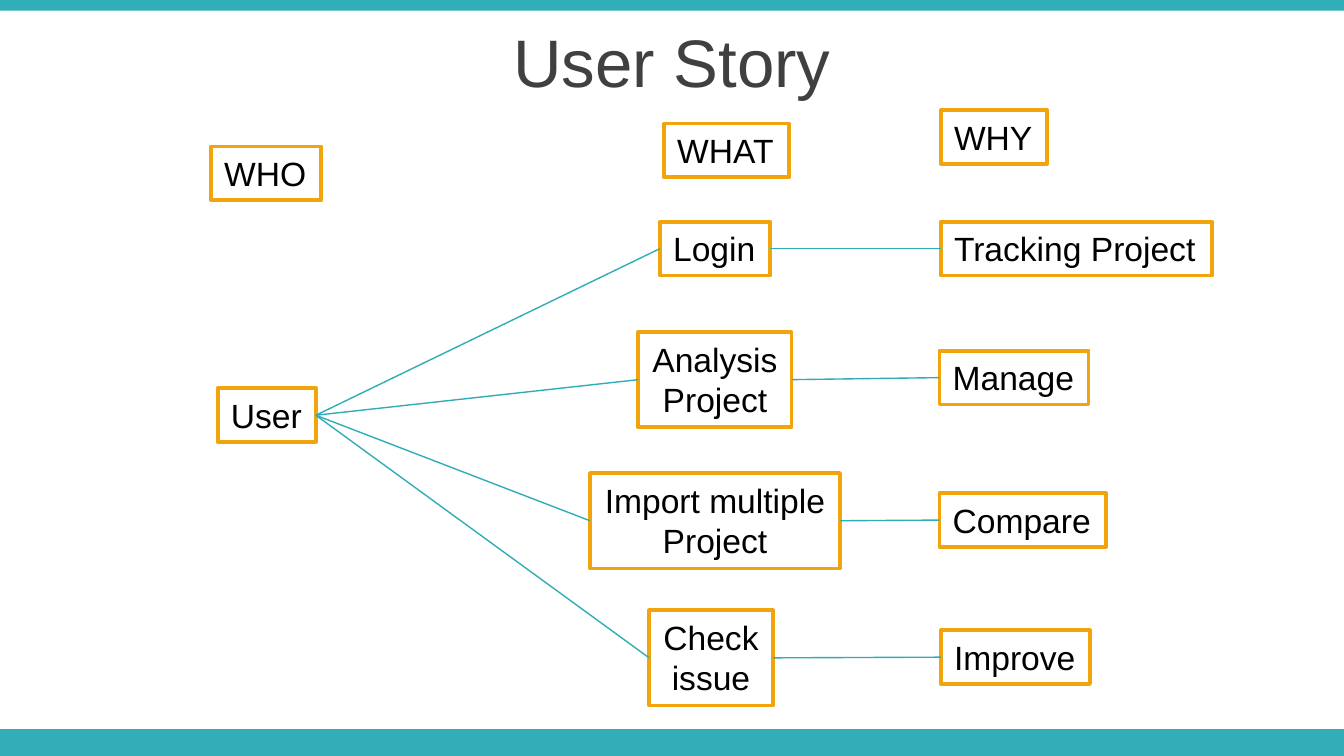
from lxml import etree
from pptx import Presentation
from pptx.dml.color import RGBColor
from pptx.enum.shapes import MSO_CONNECTOR, MSO_SHAPE
from pptx.enum.text import MSO_ANCHOR, MSO_AUTO_SIZE, PP_ALIGN
from pptx.oxml.ns import qn
from pptx.util import Inches, Pt

RECT = MSO_SHAPE.RECTANGLE
STRAIGHT = MSO_CONNECTOR.STRAIGHT
TOP, MIDDLE = MSO_ANCHOR.TOP, MSO_ANCHOR.MIDDLE
LEFT, CENTER = PP_ALIGN.LEFT, PP_ALIGN.CENTER
FIT_SHAPE = MSO_AUTO_SIZE.SHAPE_TO_FIT_TEXT

TEAL = RGBColor(0x32, 0xAE, 0xB8)
LINE_TEAL = RGBColor(0x2E, 0xAD, 0xB7)
ORANGE = RGBColor(0xF2, 0xA4, 0x0D)
WHITE = RGBColor(0xFF, 0xFF, 0xFF)
BLACK = RGBColor(0, 0, 0)
GREY = RGBColor(0x40, 0x40, 0x40)

FONT = "Arial"
SLIDE_W = 10
SLIDE_H = SLIDE_W * 9 / 16
LEFT_SIDE, RIGHT_SIDE = 1, 3
ONE_LINE, TWO_LINES = 0.4, 0.71

HEADINGS = [
    ("WHO", 1.57, 1.09, 0.82),
    ("WHAT", 4.94, 0.92, 0.93),
    ("WHY", 7, 0.82, 0.79),
]
STORIES = [
    (("Login", 4.91, 1.65, 0.82), ("Tracking Project", 7, 1.65, 2.02)),
    (("Analysis\nProject", 4.75, 2.47, 1.14), ("Manage", 6.99, 2.61, 1.11)),
    (("Import multiple\nProject", 4.39, 3.52, 1.86), ("Compare", 6.99, 3.67, 1.24)),
    (("Check\nissue", 4.83, 4.54, 0.92), ("Improve", 7, 4.69, 1.11)),
]


def set_text(tf, text, size, color, align):
    p = tf.paragraphs[0]
    p.text = text
    p.alignment = align
    p.font.name = FONT
    p.font.size = Pt(size)
    p.font.color.rgb = color


def add_rect(slide, x, y, w, h, color):
    sp = slide.shapes.add_shape(RECT, Inches(x), Inches(y), Inches(w), Inches(h))
    sp.shadow.inherit = False
    sp.fill.solid()
    sp.fill.fore_color.rgb = color
    sp.line.fill.background()
    return sp


def add_label(slide, text, x, y, w):
    two_lines = "\n" in text
    sp = add_rect(slide, x, y, w, TWO_LINES if two_lines else ONE_LINE, WHITE)
    sp.line.color.rgb = ORANGE
    sp.line.width = Pt(2)
    tf = sp.text_frame
    tf.word_wrap = False
    tf.auto_size = FIT_SHAPE
    tf.vertical_anchor = TOP
    set_text(tf, text, 18, BLACK, CENTER if two_lines else LEFT)
    return sp


def add_link(slide, start, end):
    line = slide.shapes.add_connector(STRAIGHT, 0, 0, 0, 0)
    line.begin_connect(start, RIGHT_SIDE)
    line.end_connect(end, LEFT_SIDE)
    line.line.color.rgb = LINE_TEAL
    line.line.width = Pt(0.75)
    etree.SubElement(line._element.spPr, qn("a:effectLst"))


def add_bands(slide, w, h):
    add_rect(slide, 0, h - 0.2, w, 0.2, TEAL)
    add_rect(slide, 0, 0, w, 0.08, TEAL)


def add_title(slide, text, x, y, w, h):
    tf = slide.shapes.add_textbox(Inches(x), Inches(y), Inches(w), Inches(h)).text_frame
    tf.word_wrap = True
    tf.vertical_anchor = MIDDLE
    set_text(tf, text, 36, GREY, CENTER)


def add_story_map(slide, x, y):
    for text, dx, dy, w in HEADINGS:
        add_label(slide, text, x + dx, y + dy, w)
    user = add_label(slide, "User", x + 1.62, y + 2.89, 0.73)
    for row in STORIES:
        what, why = [add_label(slide, text, x + dx, y + dy, w) for text, dx, dy, w in row]
        add_link(slide, user, what)
        add_link(slide, what, why)


def main():
    prs = Presentation()
    prs.slide_width, prs.slide_height = Inches(SLIDE_W), Inches(SLIDE_H)
    slide = prs.slides.add_slide(prs.slide_layouts[6])
    add_bands(slide, SLIDE_W, SLIDE_H)
    add_title(slide, "User Story", 0, 0.14, SLIDE_W, 0.63)
    add_story_map(slide, 0, 0)
    prs.save("out.pptx")


if __name__ == "__main__":
    main()
